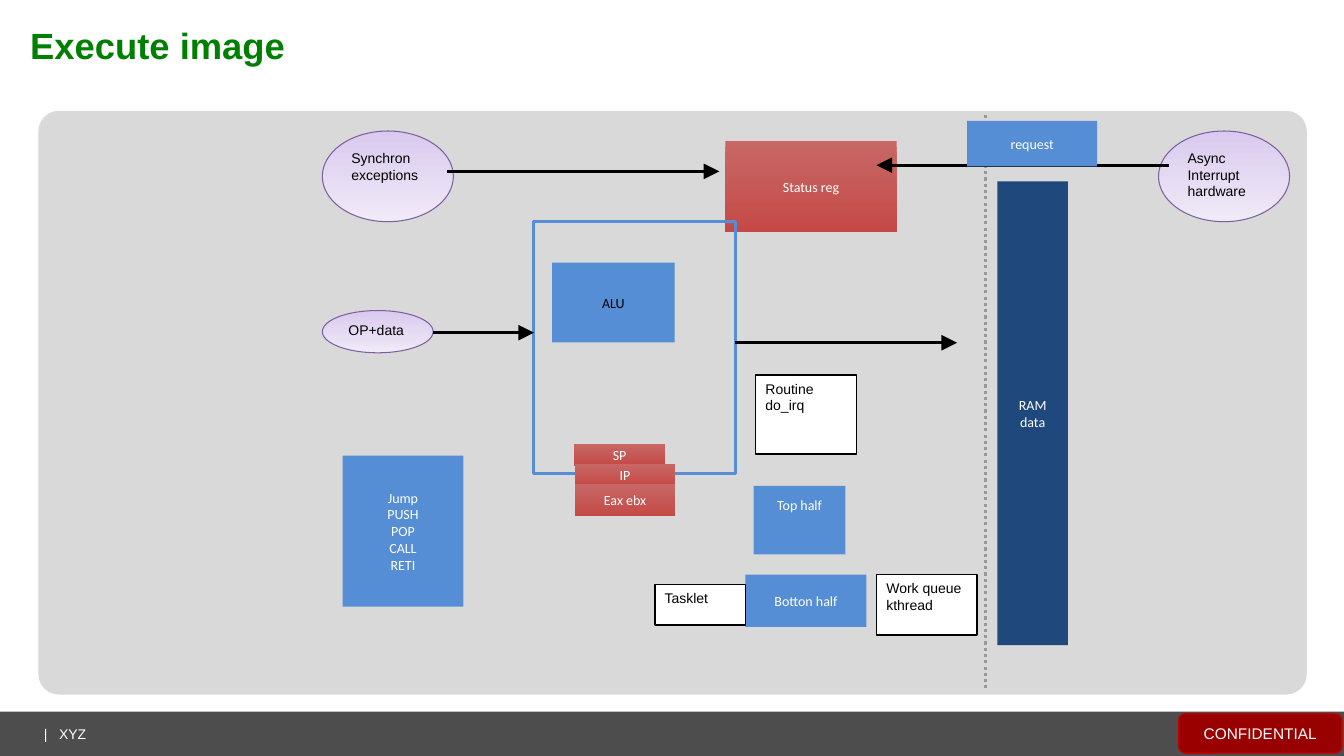
"""Build the "Execute image" slide: processor blocks, interrupt sources and memory."""
from dataclasses import dataclass

from lxml import etree
from pptx import Presentation
from pptx.dml.color import RGBColor
from pptx.enum import dml, shapes, text
from pptx.oxml import ns
from pptx.util import Pt

WHITE = RGBColor(0xFF, 0xFF, 0xFF)
BLACK = RGBColor(0x00, 0x00, 0x00)
GREEN = RGBColor(0x00, 0x80, 0x00)
BLUE = RGBColor(0x55, 0x8E, 0xD5)
NAVY = RGBColor(0x1F, 0x49, 0x7D)
PURPLE = RGBColor(0x7D, 0x5F, 0xA0)
PANEL_GRAY = RGBColor(0xD9, 0xD9, 0xD9)
DIVIDER_GRAY = RGBColor(0x99, 0x99, 0x99)
FOOTER_GRAY = RGBColor(0x4D, 0x4D, 0x4D)
DARK_RED = RGBColor(0x99, 0x00, 0x00)
BADGE_LINE = RGBColor(0xC0, 0x00, 0x00)
RED_GRADIENT = (RGBColor(0xC7, 0x68, 0x66), RGBColor(0xC5, 0x4A, 0x47))
LILAC_GRADIENT = (RGBColor(0xD9, 0xCA, 0xEE), RGBColor(0xF1, 0xEA, 0xF8))

RECTANGLE = shapes.MSO_SHAPE.RECTANGLE
ROUNDED = shapes.MSO_SHAPE.ROUNDED_RECTANGLE
OVAL = shapes.MSO_SHAPE.OVAL
TOP, MIDDLE, BOTTOM = text.MSO_ANCHOR.TOP, text.MSO_ANCHOR.MIDDLE, text.MSO_ANCHOR.BOTTOM
LEFT, CENTER = text.PP_ALIGN.LEFT, text.PP_ALIGN.CENTER


@dataclass(frozen=True)
class Style:
    fill: RGBColor | tuple[RGBColor, RGBColor] | None = None
    line: RGBColor | None = None
    line_width: float = 1
    geometry: shapes.MSO_SHAPE = RECTANGLE
    corner: float | None = None
    font: str = "Calibri"
    size: float = 10
    color: RGBColor = WHITE
    bold: bool = False
    align: text.PP_ALIGN = CENTER
    anchor: text.MSO_ANCHOR = MIDDLE
    insets: tuple[float, float, float, float] = (7.2, 3.6, 7.2, 3.6)


@dataclass(frozen=True)
class Block:
    style: Style
    left: float
    top: float
    width: float
    height: float
    lines: tuple[str, ...] = ()


@dataclass(frozen=True)
class Line:
    start: tuple[float, float]
    end: tuple[float, float]
    color: RGBColor = BLACK
    arrow: bool = True


PANEL = Style(PANEL_GRAY, geometry=ROUNDED, corner=0.035)
FOOTER = Style(FOOTER_GRAY)
BADGE = Style(DARK_RED, BADGE_LINE, geometry=ROUNDED, corner=0.167, font="Arial", size=11)
FOOTER_TEXT = Style(font="Arial", align=LEFT, insets=(12.7, 0, 7.2, 0))
TITLE = Style(font="Arial", size=26, color=GREEN, bold=True, align=LEFT,
              anchor=BOTTOM, insets=(0, 0, 9.4, 0))
REGISTER = Style(RED_GRADIENT)
UNIT = Style(BLUE)
UNIT_DARK_TEXT = Style(BLUE, color=BLACK)
UNIT_TOP_TEXT = Style(BLUE, anchor=TOP, insets=(7.2, 8, 7.2, 3.6))
MEMORY = Style(NAVY)
CPU_FRAME = Style(line=BLUE, line_width=2.25)
NOTE = Style(WHITE, BLACK, font="Arial", color=BLACK, align=LEFT, anchor=TOP)
SOURCE = Style(LILAC_GRADIENT, PURPLE, 0.75, OVAL, font="Arial", color=BLACK,
               align=LEFT, anchor=TOP)

ELEMENTS: tuple[Block | Line, ...] = (
    Block(FOOTER, 0, 508.3, 960.5, 31.7),
    Block(BADGE, 842.4, 509.8, 116.6, 28.1, ("CONFIDENTIAL",)),
    Block(FOOTER_TEXT, 18.7, 513.4, 136, 20.9, ("|\tXYZ",)),
    Block(PANEL, 27.4, 79.2, 906.5, 416.9),
    Block(REGISTER, 518.4, 100.8, 122.4, 64.8, ("Status reg",)),
    Line((704, 82), (704, 492.5), DIVIDER_GRAY, arrow=False),
    Block(SOURCE, 230.4, 221.8, 79.2, 30.2, ("OP+data",)),
    Block(CPU_FRAME, 381.6, 158.4, 144, 180),
    Line((309.6, 237.6), (381.6, 237.6)),
    Block(UNIT_DARK_TEXT, 394.6, 187.6, 87.5, 57, ("ALU",)),
    Block(MEMORY, 712.8, 129.6, 50.4, 331.2, ("RAM", "data")),
    Block(UNIT, 244.8, 325.4, 86.4, 108, ("Jump", "PUSH", "POP", "CALL", "RETI")),
    Block(REGISTER, 410.4, 316.8, 64.8, 15.8, ("SP",)),
    Block(REGISTER, 411, 331.2, 71.5, 15.8, ("IP",)),
    Block(NOTE, 540, 268, 72, 56.2, ("Routine", "do_irq")),
    Block(REGISTER, 411, 345.6, 71.5, 23, ("Eax ebx",)),
    Block(SOURCE, 230.4, 93.6, 93.6, 64.8, ("Synchron", "exceptions")),
    Block(SOURCE, 828, 93.6, 93.6, 64.8, ("Async", "Interrupt", "hardware")),
    Line((319.7, 122.4), (514.1, 122.4)),
    Line((835.2, 118), (626.4, 118)),
    Block(UNIT, 691.2, 86.4, 92.9, 32.4, ("request",)),
    Block(UNIT_TOP_TEXT, 538.6, 347, 65.5, 49, ("Top half",)),
    Block(UNIT, 532.8, 410.4, 86.4, 37.4, ("Botton half",)),
    Block(NOTE, 626.4, 410.4, 72, 43.2, ("Work queue", "kthread")),
    Block(NOTE, 468, 417.6, 64.8, 28.8, ("Tasklet",)),
    Line((525.6, 244.8), (684, 244.8)),
    Block(TITLE, 21.6, 13.7, 915.8, 33.8, ("Execute image",)),
)


def write_text(frame, style: Style, lines: tuple[str, ...]) -> None:
    frame.word_wrap = True
    frame.vertical_anchor = style.anchor
    (frame.margin_left, frame.margin_top,
     frame.margin_right, frame.margin_bottom) = map(Pt, style.insets)
    for index, line in enumerate(lines):
        paragraph = frame.add_paragraph() if index else frame.paragraphs[0]
        paragraph.alignment = style.align
        if "\t" in line:
            properties = paragraph._p.get_or_add_pPr()
            tabs = etree.SubElement(properties, ns.qn("a:tabLst"))
            etree.SubElement(tabs, ns.qn("a:tab"), pos=str(Pt(10.8)), algn="l")
        run = paragraph.add_run()
        run.text = line
        run.font.name = style.font
        run.font.size = Pt(style.size)
        run.font.bold = style.bold
        run.font.color.rgb = style.color


def draw_block(slide, block: Block) -> None:
    style = block.style
    box = [Pt(value) for value in (block.left, block.top, block.width, block.height)]
    if style.fill is None and style.line is None:
        write_text(slide.shapes.add_textbox(*box).text_frame, style, block.lines)
        return
    shape = slide.shapes.add_shape(style.geometry, *box)
    shape.shadow.inherit = False
    if style.corner is not None:
        shape.adjustments[0] = style.corner
    if style.fill is None:
        shape.fill.background()
    elif isinstance(style.fill, RGBColor):
        shape.fill.solid()
        shape.fill.fore_color.rgb = style.fill
    else:
        shape.fill.gradient()
        shape.fill.gradient_angle = 270
        for stop, color in zip(shape.fill.gradient_stops, style.fill):
            stop.color.rgb = color
    if style.line is None:
        shape.line.fill.background()
    else:
        shape.line.color.rgb = style.line
        shape.line.width = Pt(style.line_width)
    if block.lines:
        write_text(shape.text_frame, style, block.lines)


def draw_line(slide, line: Line) -> None:
    connector = slide.shapes.add_connector(
        shapes.MSO_CONNECTOR.STRAIGHT, *map(Pt, line.start + line.end))
    connector.line.color.rgb = line.color
    connector.line.width = Pt(2.25)
    if line.arrow:
        etree.SubElement(connector.line._get_or_add_ln(), ns.qn("a:tailEnd"),
                         type="triangle", w="lg", len="lg")
    else:
        connector.line.dash_style = dml.MSO_LINE.ROUND_DOT
    etree.SubElement(connector._element.spPr, ns.qn("a:effectLst"))


def main() -> None:
    presentation = Presentation()
    presentation.slide_width, presentation.slide_height = Pt(960.5), Pt(540)
    slide = presentation.slides.add_slide(presentation.slide_layouts[6])
    for element in ELEMENTS:
        if isinstance(element, Block):
            draw_block(slide, element)
        else:
            draw_line(slide, element)
    presentation.save("out.pptx")


if __name__ == "__main__":
    main()
